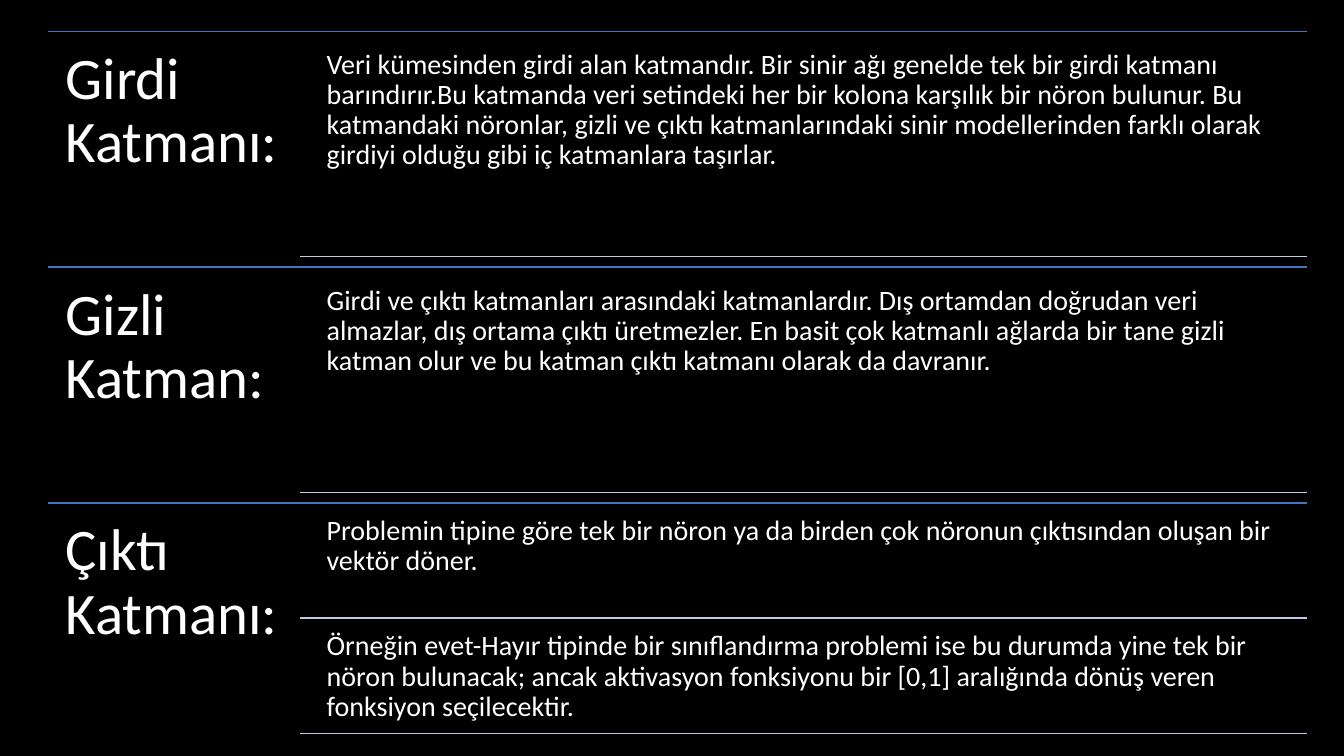
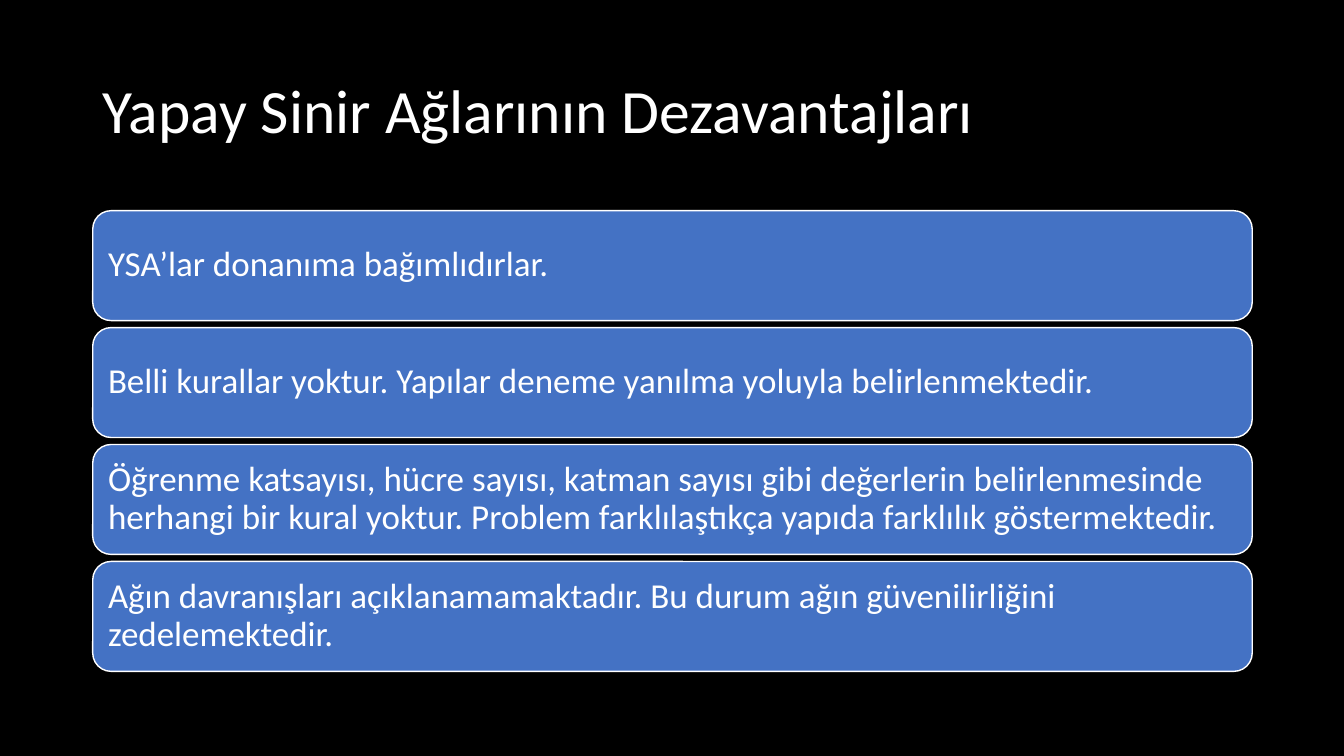
from dataclasses import dataclass

from lxml.etree import SubElement
from pptx import Presentation
from pptx.dml.color import RGBColor as Rgb
from pptx.enum.shapes import MSO_CONNECTOR as Connector, MSO_SHAPE as Shape
from pptx.enum.text import MSO_ANCHOR as Anchor, PP_ALIGN as Align
from pptx.oxml.ns import qn
from pptx.util import Inches, Pt


@dataclass(frozen=True)
class Theme:
    font: str = "Calibri"
    background: Rgb = Rgb(0x00, 0x00, 0x00)
    text: Rgb = Rgb(0xFF, 0xFF, 0xFF)
    accent: Rgb = Rgb(0x44, 0x72, 0xC4)
    soft_rule: Rgb = Rgb(0xC1, 0xC9, 0xE4)
    title_size: int = 44
    layer_size: int = 42
    drawback_size: int = 25
    detail_size: int = 20
    line_width: int = 1


theme = Theme()


def write(shape, words, size, inset, anchor):
    frame = shape.text_frame
    frame.word_wrap = True
    frame.vertical_anchor = anchor
    frame.margin_left = frame.margin_right = Inches(inset)
    frame.margin_top = frame.margin_bottom = Inches(inset)
    frame.text = words
    paragraph = frame.paragraphs[0]
    paragraph.alignment = Align.LEFT
    paragraph.line_spacing = 0.9
    paragraph.font.name = theme.font
    paragraph.font.size = Pt(size)
    paragraph.font.color.rgb = theme.text


def draw_rule(slide, left, right, y, color):
    rule = slide.shapes.add_connector(
        Connector.STRAIGHT, Inches(left), Inches(y), Inches(right), Inches(y))
    rule.line.color.rgb = color
    rule.line.width = Pt(theme.line_width)
    SubElement(rule._element.spPr, qn("a:effectLst"))


prs = Presentation()
prs.slide_width, prs.slide_height = Inches(13.33), Inches(7.5)
title_only, blank = prs.slide_layouts[5], prs.slide_layouts[6]

# Shared black background
backdrop = prs.slide_master.background.fill
backdrop.solid()
backdrop.fore_color.rgb = theme.background

# Slide 1: the layers, one band each, with equal detail cells
layers = [
    ("Girdi Katmanı:", [
        "Veri kümesinden girdi alan katmandır. Bir sinir ağı genelde tek bir "
        "girdi katmanı barındırır.Bu katmanda veri setindeki her bir kolona "
        "karşılık bir nöron bulunur. Bu katmandaki nöronlar, gizli ve çıktı "
        "katmanlarındaki sinir modellerinden farklı olarak girdiyi olduğu gibi "
        "iç katmanlara taşırlar."]),
    ("Gizli Katman:", [
        "Girdi ve çıktı katmanları arasındaki katmanlardır. Dış ortamdan "
        "doğrudan veri almazlar, dış ortama çıktı üretmezler. En basit çok "
        "katmanlı ağlarda bir tane gizli katman olur ve bu katman çıktı katmanı "
        "olarak da davranır."]),
    ("Çıktı Katmanı:", [
        "Problemin tipine göre tek bir nöron ya da birden çok nöronun "
        "çıktısından oluşan bir vektör döner.",
        "Örneğin evet-Hayır tipinde bir sınıflandırma problemi ise bu durumda "
        "yine tek bir nöron bulunacak; ancak aktivasyon fonksiyonu bir [0,1] "
        "aralığında dönüş veren fonksiyon seçilecektir."]),
]
band_left, band_right, first_band, band_height = 0.48, 12.96, 0.31, 2.34
name_width = (band_right - band_left) / 5
detail_left = 3.16
gap_share = 0.05  # gap between cells, as a share of the cell height

layers_slide = prs.slides.add_slide(blank)
for row, (layer, details) in enumerate(layers):
    top = first_band + row * band_height
    draw_rule(layers_slide, band_left, band_right, top, theme.accent)
    name = layers_slide.shapes.add_textbox(
        Inches(band_left), Inches(top), Inches(name_width), Inches(band_height))
    write(name, layer, theme.layer_size, 0.17, Anchor.TOP)

    count = len(details)
    cell = band_height / (count + gap_share * (count + 1))
    gap = gap_share * cell
    for index, words in enumerate(details):
        cell_top = top + gap + index * (cell + gap)
        detail = layers_slide.shapes.add_textbox(
            Inches(detail_left), Inches(cell_top),
            Inches(band_right - detail_left), Inches(cell))
        write(detail, words, theme.detail_size, 0.08, Anchor.TOP)
        draw_rule(layers_slide, band_left + name_width, band_right,
                  cell_top + cell, theme.soft_rule)

# Slide 2: title and a stack of drawbacks
drawbacks = [
    "YSA’lar donanıma bağımlıdırlar.",
    "Belli kurallar yoktur. Yapılar deneme yanılma yoluyla belirlenmektedir.",
    "Öğrenme katsayısı, hücre sayısı, katman sayısı gibi değerlerin "
    "belirlenmesinde herhangi bir kural yoktur. Problem farklılaştıkça yapıda "
    "farklılık göstermektedir.",
    "Ağın davranışları açıklanamamaktadır. Bu durum ağın güvenilirliğini "
    "zedelemektedir.",
]
stack_left, stack_width, stack_top = 0.92, 11.5, 2.09
bar_height, bar_gap = 1.09, 0.07

drawbacks_slide = prs.slides.add_slide(title_only)
title = drawbacks_slide.shapes.title
title.left, title.top = Inches(stack_left), Inches(0.4)
title.width, title.height = Inches(stack_width), Inches(1.45)
write(title, "Yapay Sinir Ağlarının Dezavantajları", theme.title_size, 0.1,
      Anchor.MIDDLE)

for row, words in enumerate(drawbacks):
    bar = drawbacks_slide.shapes.add_shape(
        Shape.ROUNDED_RECTANGLE, Inches(stack_left),
        Inches(stack_top + row * (bar_height + bar_gap)),
        Inches(stack_width), Inches(bar_height))
    bar.shadow.inherit = False
    bar.fill.solid()
    bar.fill.fore_color.rgb = theme.accent
    bar.line.color.rgb = theme.text
    bar.line.width = Pt(theme.line_width)
    write(bar, words, theme.drawback_size, 0.1, Anchor.MIDDLE)

prs.save("out.pptx")
